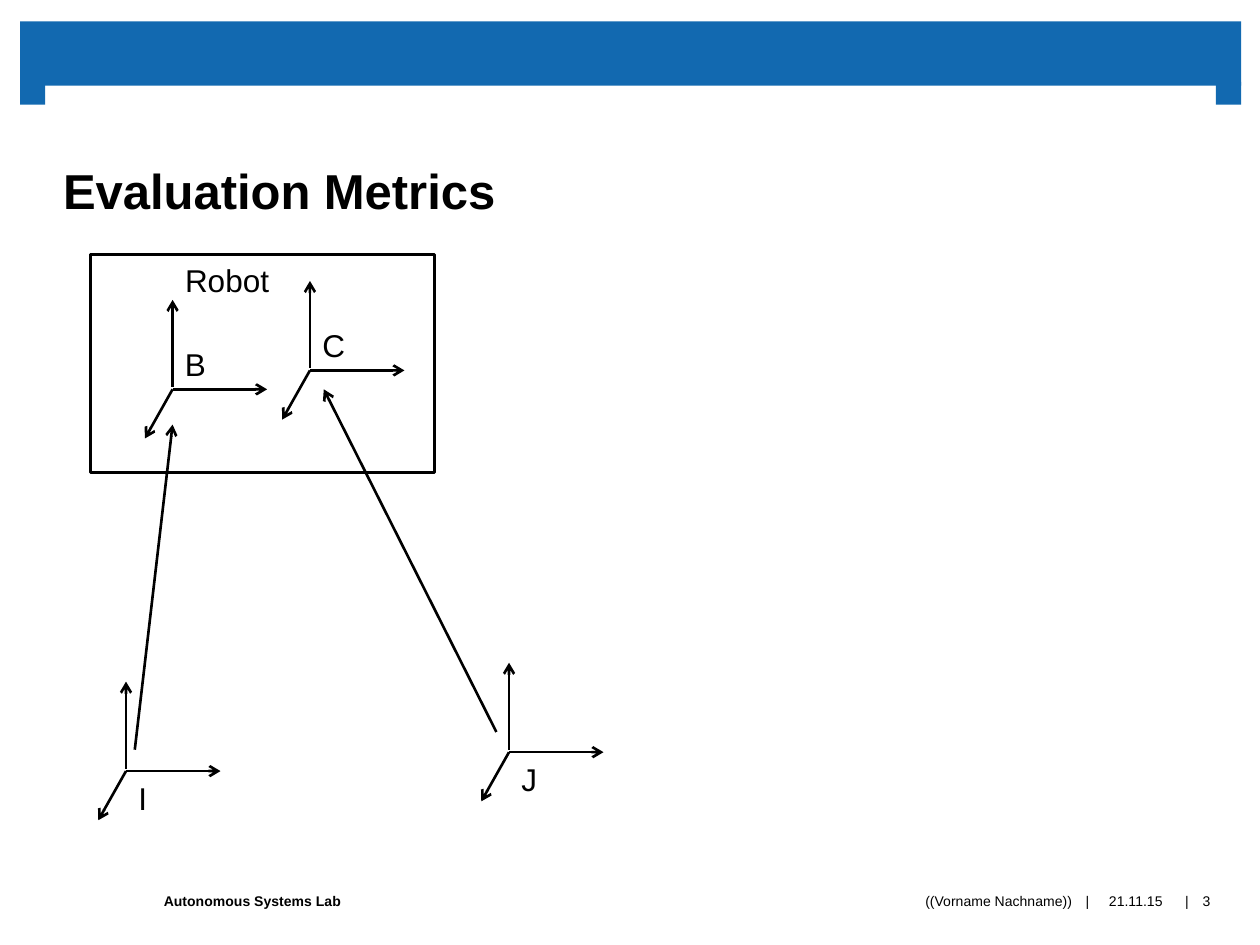
import pptx
import pptx.util
import pptx.dml.color
import pptx.enum.shapes
import pptx.enum.text
import pptx.oxml
import pptx.oxml.ns
from dataclasses import dataclass

Inches = pptx.util.Inches
Pt = pptx.util.Pt
Align = pptx.enum.text.PP_ALIGN
Anchor = pptx.enum.text.MSO_ANCHOR
Fit = pptx.enum.text.MSO_AUTO_SIZE
Shape = pptx.enum.shapes.MSO_SHAPE


@dataclass(frozen=True)
class Theme:
    font: str = "Arial"
    blue: str = "1269B0"
    black: str = "000000"
    white: str = "FFFFFF"
    title: int = 28
    label: int = 18
    foot: int = 8
    arrow: float = 1.5
    frame: float = 2


THEME = Theme()


def color(code):
    return pptx.dml.color.RGBColor.from_string(code)


def place(shape, left, top, width, height):
    shape.left, shape.top = Inches(left), Inches(top)
    shape.width, shape.height = Inches(width), Inches(height)


def write(shape, text, size, bold=False, align=Align.LEFT,
          anchor=Anchor.TOP, pads=(0.1, 0.05, 0.1, 0.05), fit=Fit.NONE, wrap=True):
    frame = shape.text_frame
    frame.word_wrap = wrap
    frame.auto_size = fit
    frame.vertical_anchor = anchor
    (frame.margin_left, frame.margin_top,
     frame.margin_right, frame.margin_bottom) = map(Inches, pads)
    para = frame.paragraphs[0]
    para.alignment = align
    run = para.add_run()
    run.text = text
    run.font.name = THEME.font
    run.font.size = Pt(size)
    run.font.bold = bold
    run.font.color.rgb = color(THEME.black)


def add_title(slide, text):
    title = slide.shapes.title
    place(title, 0.35, 0.68, 9.29, 1.06)
    title.fill.solid()
    title.fill.fore_color.rgb = color(THEME.white)
    write(title, text, THEME.title, True, anchor=Anchor.BOTTOM,
          pads=(0.15, 0, 0.16, 0))


def add_rect(slide, left, top, width, height, fill=None):
    rect = slide.shapes.add_shape(
        Shape.RECTANGLE, *map(Inches, (left, top, width, height)))
    rect.shadow.inherit = False
    if fill:
        rect.fill.solid()
        rect.fill.fore_color.rgb = color(fill)
        rect.line.fill.background()
    else:
        rect.fill.background()
        rect.line.color.rgb = color(THEME.black)
        rect.line.width = Pt(THEME.frame)


def add_label(slide, left, top, width, text):
    box = slide.shapes.add_textbox(*map(Inches, (left, top, width, 0.4)))
    write(box, text, THEME.label, fit=Fit.SHAPE_TO_FIT_TEXT, wrap=False)


def add_foot(slide, left, width, text, align=Align.CENTER, bold=False):
    box = slide.shapes.add_textbox(*map(Inches, (left, 6.9, width, 0.5)))
    write(box, text, THEME.foot, bold, align, Anchor.MIDDLE, (0, 0, 0, 0))


def add_arrow(slide, start, end):
    line = slide.shapes.add_connector(
        pptx.enum.shapes.MSO_CONNECTOR.STRAIGHT, *map(Inches, start + end))
    line.line.color.rgb = color(THEME.black)
    line.line.width = Pt(THEME.arrow)
    make = pptx.oxml.ns.qn
    tail = line.line._get_or_add_ln().makeelement(
        make("a:tailEnd"), {"type": "arrow"})
    line.line._get_or_add_ln().append(tail)
    props = line._element.spPr
    props.append(props.makeelement(make("a:effectLst"), {}))


def add_axes(slide, x, y, name, drop, width):
    add_arrow(slide, (x, y - 0.02), (x, y - 0.71))
    add_arrow(slide, (x, y), (x + 0.75, y))
    add_arrow(slide, (x, y), (x - 0.22, y + 0.39))
    add_label(slide, x, y + drop, width, name)


def main():
    deck = pptx.Presentation()
    deck.slide_width, deck.slide_height = Inches(10), Inches(7.5)
    slide = deck.slides.add_slide(deck.slide_layouts[5])

    add_title(slide, "Evaluation Metrics")
    add_rect(slide, 0.16, 0.17, 9.69, 0.51, THEME.blue)
    for left in (0.16, 9.65):
        add_rect(slide, left, 0.65, 0.2, 0.18, THEME.blue)

    add_foot(slide, 1.3, 3.7, "Autonomous Systems Lab", Align.LEFT, True)
    add_foot(slide, 5, 3.51, "((Vorname Nachname))", Align.RIGHT)
    add_foot(slide, 8.68, 0.67, "21.11.15")
    add_foot(slide, 9.43, 0.29, "3")
    for left in (8.57, 9.36):
        add_foot(slide, left, 0.12, "|")

    add_rect(slide, 0.72, 2.02, 2.73, 1.73)
    add_label(slide, 1.37, 2.02, 0.88, "Robot")
    for axes in (
        (1, 6.12, "I", 0.01, 0.27),
        (4.04, 5.97, "J", 0.01, 0.33),
        (1.37, 3.09, "B", -0.4, 0.37),
        (2.46, 2.94, "C", -0.4, 0.38),
    ):
        add_axes(slide, *axes)
    add_arrow(slide, (1.07, 5.95), (1.37, 3.37))
    add_arrow(slide, (3.94, 5.81), (2.57, 3.09))

    deck.save("out.pptx")


if __name__ == "__main__":
    main()
